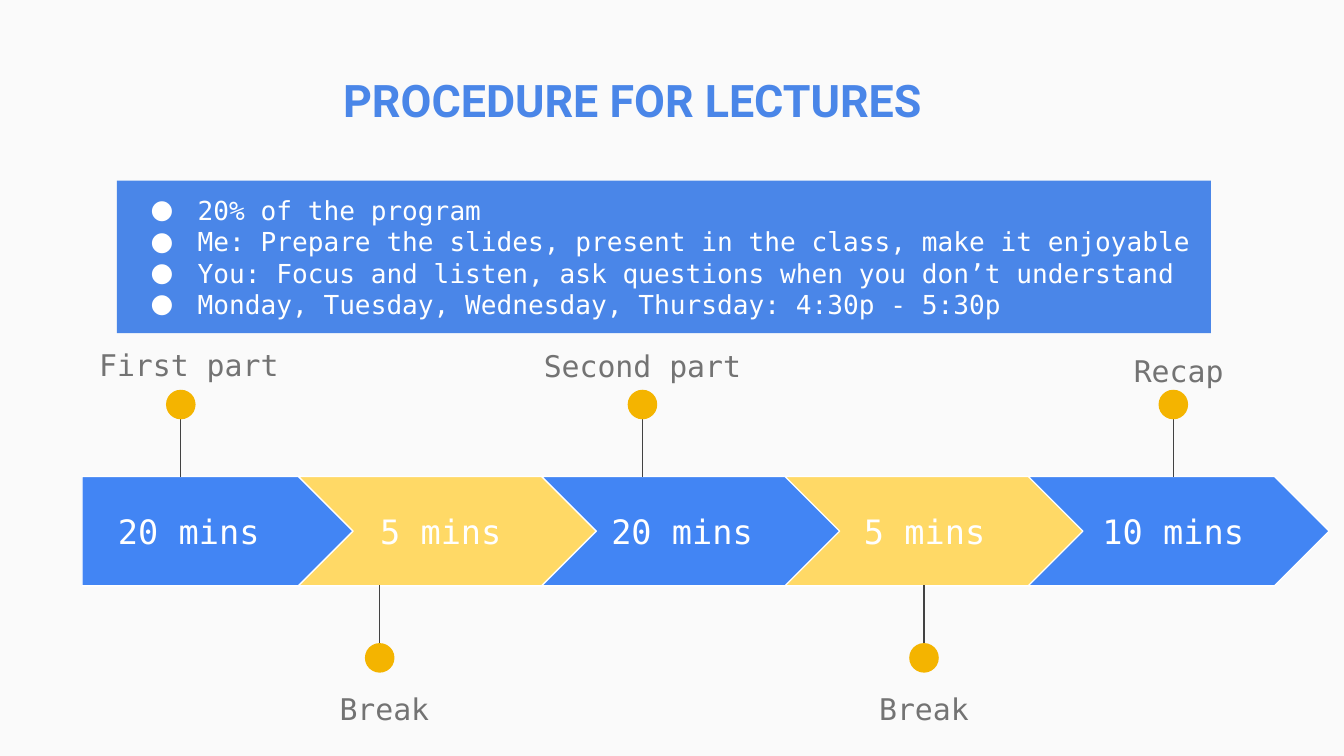
"""Build the lecture procedure slide: a panel of rules above a five-step timeline."""
import pptx
import pptx.dml.color
import pptx.enum.shapes
import pptx.enum.text
import pptx.oxml
import pptx.util

THEME = {
    "bg": "FAFAFA", "title": "4A86E8", "panel": "4A86E8", "lecture": "4285F4",
    "break": "FFD966", "dot": "F4B400", "stem": "424242", "label": "737373",
    "white": "FFFFFF", "head_font": "Roboto", "body_font": "DejaVu Sans Mono",
    "title_pt": 24, "rule_pt": 14, "label_pt": 16, "time_pt": 18, "line_pt": 0.75,
}
PX = 4572
MSO = pptx.enum.shapes.MSO_SHAPE
ALIGN = pptx.enum.text.PP_ALIGN
ANCHOR = pptx.enum.text.MSO_ANCHOR
RULES = [
    "20% of the program",
    "Me: Prepare the slides, present in the class, make it enjoyable",
    "You: Focus and listen, ask questions when you don’t understand",
    "Monday, Tuesday, Wednesday, Thursday: 4:30p - 5:30p",
]
# time, time centre, stem x, label, label centre, label top
STEPS = [
    ("20 mins", 281, 269, "First part", 281, 488),
    ("5 mins", 656, 565, "Break", 572, 1000),
    ("20 mins", 1015, 956, "Second part", 956, 489),
    ("5 mins", 1376, 1375, "Break", 1375, 1000),
    ("10 mins", 1746, 1746, "Recap", 1754, 497),
]


def rgb(name):
    return pptx.dml.color.RGBColor.from_string(THEME[name])


def write(sp, box, lines, font, size, color, align, anchor=ANCHOR.TOP, bold=False):
    sp.left, sp.top, sp.width, sp.height = [v * PX for v in box]
    tf = sp.text_frame
    tf.text = "\n".join(lines)
    tf.word_wrap = True
    tf.auto_size = pptx.enum.text.MSO_AUTO_SIZE.NONE
    tf.vertical_anchor = anchor
    tf.margin_left = tf.margin_right = tf.margin_top = tf.margin_bottom = 20 * PX
    for p in tf.paragraphs:
        p.alignment = align
        p.space_before = pptx.util.Pt(0)
        for r in p.runs:
            r.font.name = THEME[font]
            r.font.size = pptx.util.Pt(THEME[size])
            r.font.bold = bold
            r.font.color.rgb = rgb(color)
    return tf


prs = pptx.Presentation()
prs.slide_width, prs.slide_height = 2000 * PX, 1125 * PX
s = prs.slides.add_slide(prs.slide_layouts[1])
s.background.fill.solid()
s.background.fill.fore_color.rgb = rgb("bg")

write(s.shapes.title, (387, 88, 1108, 116), ["PROCEDURE FOR LECTURES"],
      "head_font", "title_pt", "title", ALIGN.CENTER, bold=True)

panel = s.placeholders[1]
panel.fill.solid()
panel.fill.fore_color.rgb = rgb("panel")
tf = write(panel, (174, 269, 1628, 227), RULES, "body_font", "rule_pt", "white", ALIGN.LEFT)
for p in tf.paragraphs:
    pPr = p._p.get_or_add_pPr()
    pPr.set("marL", str(100 * PX))
    pPr.set("indent", str(-70 * PX))
    for xml in (f'<a:buClr %s><a:srgbClr val="{THEME["white"]}"/></a:buClr>',
                f'<a:buFont %s typeface="{THEME["head_font"]}"/>',
                '<a:buChar %s char="●"/>'):
        pPr.append(pptx.oxml.parse_xml(xml % pptx.oxml.ns.nsdecls("a")))

for i, (time, time_x, stem_x, label, label_x, label_y) in enumerate(STEPS):
    is_break = i % 2 == 1
    left, width = (82 + 362 * i, 448) if i else (122, 410)
    sp = s.shapes.add_shape(MSO.CHEVRON if i else MSO.PENTAGON,
                            left * PX, 709 * PX, width * PX, 163 * PX)
    sp.adjustments[0] = 0.5
    sp.shadow.inherit = False
    sp.fill.solid()
    sp.fill.fore_color.rgb = rgb("break" if is_break else "lecture")
    sp.line.color.rgb = rgb("white")
    sp.line.width = pptx.util.Pt(THEME["line_pt"])

    write(s.shapes.add_textbox(0, 0, 0, 0), (time_x - 144, 739, 288, 102), [time],
          "body_font", "time_pt", "white", ALIGN.CENTER, ANCHOR.MIDDLE)

    start, end, dot_y = (992, 870, 957) if is_break else (588, 710, 580)
    stem = s.shapes.add_connector(pptx.enum.shapes.MSO_CONNECTOR.STRAIGHT,
                                  stem_x * PX, start * PX, stem_x * PX, end * PX)
    stem.line.color.rgb = rgb("stem")
    stem.line.width = pptx.util.Pt(THEME["line_pt"])
    stem._element.spPr.append(pptx.oxml.parse_xml(
        "<a:effectLst %s/>" % pptx.oxml.ns.nsdecls("a")))

    dot = s.shapes.add_shape(MSO.OVAL, (stem_x - 22) * PX, dot_y * PX, 44 * PX, 44 * PX)
    dot.shadow.inherit = False
    dot.fill.solid()
    dot.fill.fore_color.rgb = rgb("dot")
    dot.line.fill.background()

    tf = write(s.shapes.add_textbox(0, 0, 0, 0), (label_x - 245, label_y, 490, 102), [label],
               "body_font", "label_pt", "label", ALIGN.CENTER)
    tf.paragraphs[0].line_spacing = 1.15

prs.save("out.pptx")
